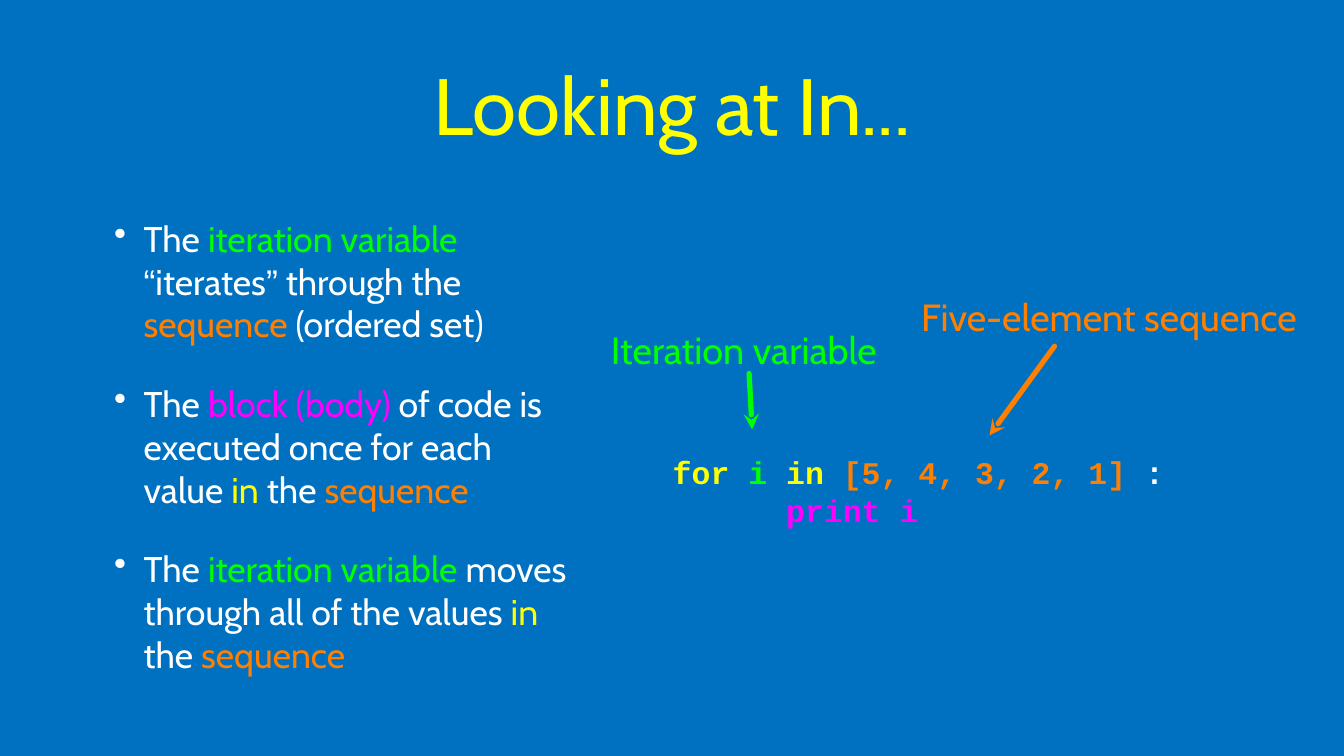
from dataclasses import dataclass

import pptx
import pptx.dml.color
import pptx.enum.shapes
import pptx.enum.text
import pptx.oxml
import pptx.oxml.ns
import pptx.util
from pptx.util import Inches

Align = pptx.enum.text.PP_ALIGN


@dataclass(frozen=True)
class Theme:
    background: str = "0070C0"
    plain: str = "FFFFFF"
    keyword: str = "FFFF00"
    variable: str = "00FF00"
    sequence: str = "FF7F00"
    block: str = "FF00FF"
    font: str = "Cabin"
    quote_font: str = "Arial"
    code_font: str = "Courier New"
    title_size: int = 76
    body_size: int = 34
    label_size: int = 36
    code_size: int = 30
    arrow_width: int = 5


THEME = Theme()


@dataclass(frozen=True)
class Run:
    text: str
    color: str = THEME.plain
    font: str = THEME.font
    bold: bool = False


@dataclass(frozen=True)
class Box:
    left: float
    top: float
    width: float
    height: float
    inset: float = 0


@dataclass(frozen=True)
class Label:
    text: str
    color: str
    box: Box
    arrow_start: tuple[float, float]
    arrow_tip: tuple[float, float]


def code(text: str, color: str) -> Run:
    return Run(text, color, THEME.code_font, True)


def rgb(color: str) -> pptx.dml.color.RGBColor:
    return pptx.dml.color.RGBColor.from_string(color)


def place(shape, box: Box):
    """Position a text shape and return its prepared text frame."""
    shape.left, shape.top = Inches(box.left), Inches(box.top)
    shape.width, shape.height = Inches(box.width), Inches(box.height)
    frame = shape.text_frame
    frame.word_wrap = True
    frame.auto_size = pptx.enum.text.MSO_AUTO_SIZE.NONE
    frame.vertical_anchor = pptx.enum.text.MSO_ANCHOR.MIDDLE
    frame.margin_left = frame.margin_right = Inches(box.inset)
    frame.margin_top = frame.margin_bottom = Inches(box.inset)
    return frame


def add_text_box(slide, box: Box):
    return place(slide.shapes.add_textbox(0, 0, 0, 0), box)


def write(paragraph, runs: list[Run], size: int, align=Align.LEFT) -> None:
    paragraph.alignment = align
    for part in runs:
        run = paragraph.add_run()
        run.text = part.text
        run.font.name = part.font
        run.font.size = pptx.util.Pt(size)
        run.font.bold = part.bold
        run.font.color.rgb = rgb(part.color)


def indent(paragraph, left: float, first: float = 0) -> None:
    properties = paragraph._p.get_or_add_pPr()
    properties.set("marL", str(Inches(left)))
    properties.set("indent", str(Inches(first)))


def add_bullet(paragraph) -> None:
    indent(paragraph, 0.82, -0.39)
    properties = paragraph._p.get_or_add_pPr()
    color = pptx.oxml.parse_xml(
        f'<a:buClr {pptx.oxml.ns.nsdecls("a")}><a:srgbClr val="{THEME.plain}"/></a:buClr>')
    mark = pptx.oxml.parse_xml(f'<a:buChar {pptx.oxml.ns.nsdecls("a")} char="•"/>')
    properties.extend([color, mark])


def add_label(slide, label: Label) -> None:
    frame = add_text_box(slide, label.box)
    write(frame.paragraphs[0], [Run(label.text, label.color)], THEME.label_size, Align.CENTER)
    arrow = slide.shapes.add_connector(
        pptx.enum.shapes.MSO_CONNECTOR.STRAIGHT,
        *map(Inches, label.arrow_start + label.arrow_tip))
    arrow.line.color.rgb = rgb(label.color)
    arrow.line.width = pptx.util.Pt(THEME.arrow_width)
    namespace = pptx.oxml.ns.nsdecls("a")
    line = arrow.line._get_or_add_ln()
    line.set("cap", "rnd")
    line.append(pptx.oxml.parse_xml(f'<a:tailEnd {namespace} type="stealth"/>'))
    arrow._element.spPr.append(pptx.oxml.parse_xml(f"<a:effectLst {namespace}/>"))


POINTS = [
    [Run("The "), Run("iteration variable ", THEME.variable),
     Run("“", font=THEME.quote_font), Run("iterates"), Run("”", font=THEME.quote_font),
     Run(" through the "), Run("sequence ", THEME.sequence), Run("(ordered set)")],
    [Run("The "), Run("block (body)", THEME.block),
     Run(" of code is executed once for each value "), Run("in", THEME.keyword),
     Run(" the "), Run("sequence", THEME.sequence)],
    [Run("The "), Run("iteration variable ", THEME.variable),
     Run("moves through all of the values "), Run("in", THEME.keyword),
     Run(" the "), Run("sequence", THEME.sequence)],
]

LOOP_HEADER = [code("for ", THEME.keyword), code("i ", THEME.variable),
               code("in ", THEME.keyword), code("[5, 4, 3, 2, 1] ", THEME.sequence),
               code(":", THEME.plain)]
LOOP_BODY = [code("print i", THEME.block)]

LABELS = [
    Label("Iteration variable", THEME.variable, Box(8.06, 4.28, 3.56, 0.68),
          (9.91, 4.94), (9.95, 5.68)),
    Label("Five-element sequence", THEME.sequence, Box(12.11, 3.85, 5.12, 0.68),
          (13.95, 4.58), (13.09, 5.76)),
]


def main() -> None:
    deck = pptx.Presentation()
    deck.slide_width, deck.slide_height = Inches(17.78), Inches(10)
    slide = deck.slides.add_slide(deck.slide_layouts.get_by_name("Title Only"))
    slide.background.fill.solid()
    slide.background.fill.fore_color.rgb = rgb(THEME.background)

    # Title
    heading = place(slide.shapes.title, Box(1.27, 0.17, 15.24, 2.41, 0.04))
    write(heading.paragraphs[0], [Run("Looking at In...", THEME.keyword)],
          THEME.title_size, Align.CENTER)

    # Explanation
    explanation = add_text_box(slide, Box(1.04, 2.78, 6.54, 6.24, 0.04))
    for index, point in enumerate(POINTS):
        paragraph = explanation.add_paragraph() if index else explanation.paragraphs[0]
        write(paragraph, point, THEME.body_size)
        if index:
            paragraph.space_before = pptx.util.Pt(35)
        add_bullet(paragraph)

    # Code sample, its body indented by six characters
    loop = add_text_box(slide, Box(8.9, 5.76, 6.96, 1.46))
    write(loop.paragraphs[0], LOOP_HEADER, THEME.code_size)
    loop_body = loop.add_paragraph()
    write(loop_body, LOOP_BODY, THEME.code_size)
    indent(loop_body, 1.5)

    # Labels with arrows to the code
    for label in LABELS:
        add_label(slide, label)

    deck.save("out.pptx")


if __name__ == "__main__":
    main()
